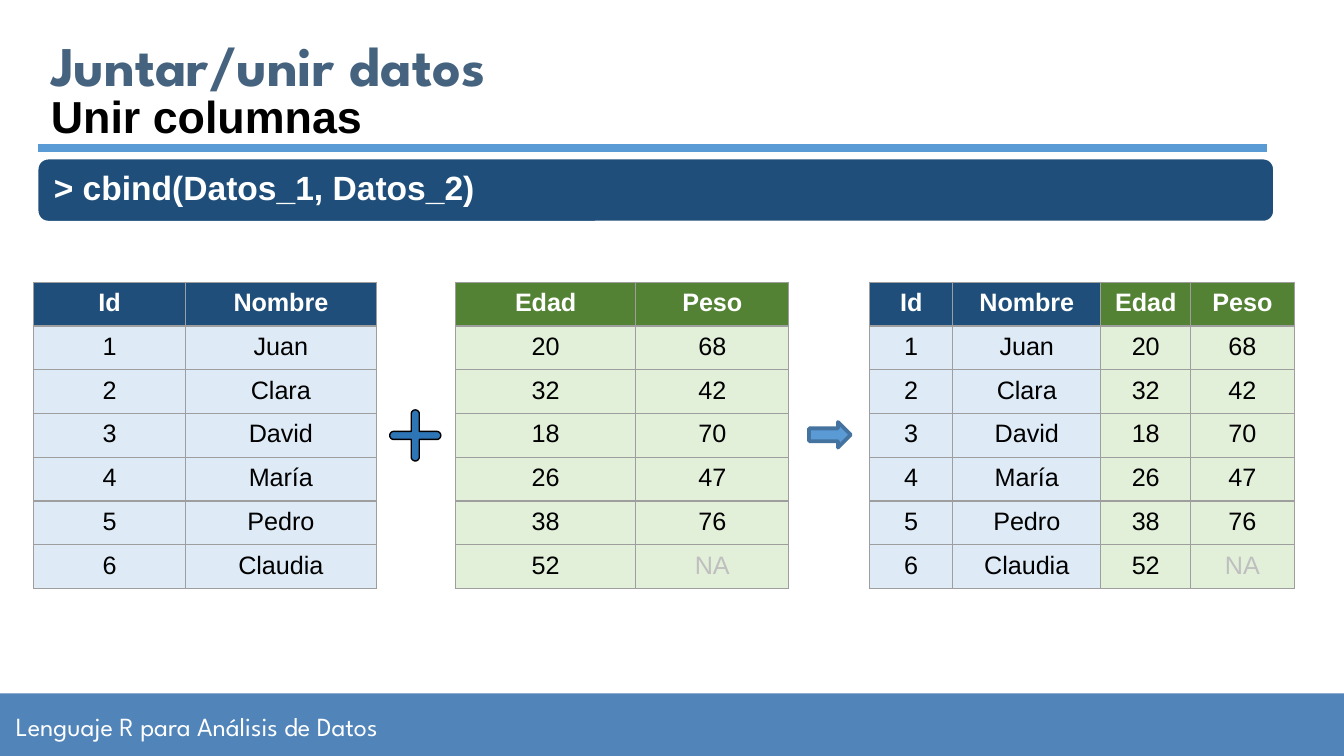
"""Build the slide that explains joining columns with cbind."""
import dataclasses
import math

import lxml.etree
import pptx
import pptx.dml.color
import pptx.enum.shapes
import pptx.enum.text
import pptx.oxml.ns
import pptx.util

Inches = pptx.util.Inches
Pt = pptx.util.Pt
Align = pptx.enum.text.PP_ALIGN
Anchor = pptx.enum.text.MSO_ANCHOR
Shape = pptx.enum.shapes.MSO_SHAPE


@dataclasses.dataclass(frozen=True)
class Theme:
    """Hold the fonts, colours and type sizes of the slide."""
    display: str = "League Spartan"
    body: str = "Arial"
    white: str = "FFFFFF"
    black: str = "000000"
    title: str = "45637F"
    footer: str = "5184B9"
    accent: str = "5B9BD5"
    arrow_edge: str = "43739E"
    plus: str = "2E75B6"
    navy: str = "1E4E79"
    pale_blue: str = "DEEBF7"
    green: str = "548235"
    pale_green: str = "E2F0D9"
    border: str = "9E9E9E"
    missing: str = "BFBFBF"
    title_size: float = 30
    subtitle_size: float = 24
    code_size: float = 18
    footer_size: float = 14
    table_size: float = 13.5


THEME = Theme()
SLIDE_WIDTH = 10
PEOPLE = {
    "Id": ["1", "2", "3", "4", "5", "6"],
    "Nombre": ["Juan", "Clara", "David", "María", "Pedro", "Claudia"],
}
MEASURES = {
    "Edad": ["20", "32", "18", "26", "38", "52"],
    "Peso": ["68", "42", "70", "47", "76", "NA"],
}
TABLE_TOP = 2.1
TABLE_HEIGHT = 2.28


def rgb(value):
    """Return a colour object for a hexadecimal value."""
    return pptx.dml.color.RGBColor.from_string(value)


def add_run(paragraph, text, font_name, size, color, bold=False):
    """Add one formatted run to a paragraph."""
    run = paragraph.add_run()
    run.text = text
    run.font.name = font_name
    run.font.size = Pt(size)
    run.font.bold = bold
    run.font.color.rgb = rgb(color)


def format_frame(frame, anchor, side, edge):
    """Set wrapping, anchor and insets, and return the first paragraph."""
    frame.word_wrap = True
    frame.auto_size = pptx.enum.text.MSO_AUTO_SIZE.NONE
    frame.vertical_anchor = anchor
    frame.margin_left = frame.margin_right = Inches(side)
    frame.margin_top = frame.margin_bottom = Inches(edge)
    paragraph = frame.paragraphs[0]
    paragraph.alignment = Align.LEFT
    return paragraph


def style_shape(shape, fill, line=None, width=0):
    """Give a shape a plain fill, an optional outline and no shadow."""
    shape.shadow.inherit = False
    shape.fill.solid()
    shape.fill.fore_color.rgb = rgb(fill)
    if line:
        shape.line.color.rgb = rgb(line)
        shape.line.width = Pt(width)
    else:
        shape.line.fill.background()


def add_box(slide, kind, box, fill, line=None, width=0):
    """Add a styled preset shape."""
    shape = slide.shapes.add_shape(kind, *map(Inches, box))
    style_shape(shape, fill, line, width)


def add_text(slide, box, anchor, insets, *run_format):
    """Add a text box that holds a single run and return its paragraph."""
    shape = slide.shapes.add_textbox(*map(Inches, box))
    paragraph = format_frame(shape.text_frame, anchor, *insets)
    add_run(paragraph, *run_format)
    return paragraph


def add_title(slide, text):
    """Place and format the title placeholder."""
    title = slide.shapes.title
    title.left, title.top, title.width, title.height = map(Inches, (0.28, 0.22, 6.59, 0.51))
    paragraph = format_frame(title.text_frame, Anchor.MIDDLE, 0.1, 0.1)
    add_run(paragraph, text, THEME.display, THEME.title_size, THEME.title, True)


def add_code(slide, text):
    """Add the rounded bar with a command."""
    add_box(slide, Shape.ROUNDED_RECTANGLE, (0.28, 1.18, 9.2, 0.47),
            THEME.navy, THEME.white, 1)
    paragraph = add_text(slide, (0.32, 1.2, 9.11, 0.42), Anchor.MIDDLE, (0.08, 0.08),
                         text, THEME.body, THEME.code_size, THEME.white, True)
    paragraph.line_spacing = 0.9


def add_rule(slide, left, right, top):
    """Add the horizontal rule under the headings."""
    rule = slide.shapes.add_connector(
        pptx.enum.shapes.MSO_CONNECTOR.STRAIGHT, *map(Inches, (left, top, right, top)))
    rule.line.color.rgb = rgb(THEME.accent)
    rule.line.width = Pt(4.5)
    lxml.etree.SubElement(rule._element.spPr, pptx.oxml.ns.qn("a:effectLst"))


def add_borders(cell):
    """Draw a thin border on the four sides of a cell."""
    qn = pptx.oxml.ns.qn
    properties = cell._tc.get_or_add_tcPr()
    for side in ("a:lnL", "a:lnR", "a:lnT", "a:lnB"):
        line = lxml.etree.SubElement(properties, qn(side), w=str(Pt(0.75)))
        fill = lxml.etree.SubElement(line, qn("a:solidFill"))
        lxml.etree.SubElement(fill, qn("a:srgbClr"), val=THEME.border)


def fill_cell(cell, text, fill, color, bold):
    """Write centred text in a bordered and filled cell."""
    add_borders(cell)
    cell.fill.solid()
    cell.fill.fore_color.rgb = rgb(fill)
    paragraph = cell.text_frame.paragraphs[0]
    paragraph.alignment = Align.CENTER
    add_run(paragraph, text, THEME.body, THEME.table_size, color, bold)


def add_data_table(slide, left, widths, columns):
    """Add a table of named columns, coloured by the data they come from."""
    row_count = 1 + max(map(len, columns.values()))
    table = slide.shapes.add_table(
        row_count, len(columns), Inches(left), Inches(TABLE_TOP),
        Inches(sum(widths)), Inches(TABLE_HEIGHT)).table
    table.first_row = table.horz_banding = False
    for row in table.rows:
        row.height = Inches(TABLE_HEIGHT / row_count)
    for index, (name, values) in enumerate(columns.items()):
        table.columns[index].width = Inches(widths[index])
        dark, pale = ((THEME.navy, THEME.pale_blue) if name in PEOPLE
                      else (THEME.green, THEME.pale_green))
        fill_cell(table.cell(0, index), name, dark, THEME.white, True)
        for row_index, value in enumerate(values, start=1):
            color = THEME.missing if value == "NA" else THEME.black
            fill_cell(table.cell(row_index, index), value, pale, color, False)


def add_plus(slide, center_x, center_y, reach, half_width):
    """Add a plus sign with rounded arm ends."""
    points = []
    for turn in (0, 90, 180, 270):
        cosine, sine = math.cos(math.radians(turn)), math.sin(math.radians(turn))
        arm = [(half_width, -half_width)]
        for angle in range(-90, 91, 15):
            arm.append((reach - half_width + half_width * math.cos(math.radians(angle)),
                        half_width * math.sin(math.radians(angle))))
        points += [(Inches(center_x + x * cosine - y * sine),
                    Inches(center_y + x * sine + y * cosine)) for x, y in arm]
    builder = slide.shapes.build_freeform(*points[0])
    builder.add_line_segments(points[1:], close=True)
    style_shape(builder.convert_to_shape(), THEME.plus, THEME.black, 0.75)


def main():
    """Build and save the presentation."""
    presentation = pptx.Presentation()
    presentation.slide_width = Inches(SLIDE_WIDTH)
    presentation.slide_height = Inches(SLIDE_WIDTH * 9 / 16)
    slide = presentation.slides.add_slide(presentation.slide_layouts[5])

    add_box(slide, Shape.RECTANGLE, (0, 5.16, SLIDE_WIDTH, 0.47), THEME.footer)
    add_text(slide, (0.02, 5.17, 4.97, 0.47), Anchor.MIDDLE, (0.1, 0.1),
             "Lenguaje R para Análisis de Datos", THEME.display, THEME.footer_size, THEME.white)
    add_title(slide, "Juntar/unir datos")
    add_code(slide, "> cbind(Datos_1, Datos_2)")
    add_text(slide, (0.28, 0.61, 9.35, 0.5), Anchor.TOP, (0.1, 0.05),
             "Unir columnas", THEME.body, THEME.subtitle_size, THEME.black, True)
    add_rule(slide, 0.28, 9.43, 1.1)

    add_data_table(slide, 0.25, (1.13, 1.42), PEOPLE)
    add_data_table(slide, 3.39, (1.34, 1.14), MEASURES)
    add_plus(slide, 3.09, 3.24, 0.19, 0.03)
    add_data_table(slide, 6.47, (0.62, 1.1, 0.67, 0.77), PEOPLE | MEASURES)
    add_box(slide, Shape.RIGHT_ARROW, (6.02, 3.14, 0.31, 0.19),
            THEME.accent, THEME.arrow_edge, 2)
    presentation.save("out.pptx")


if __name__ == "__main__":
    main()
